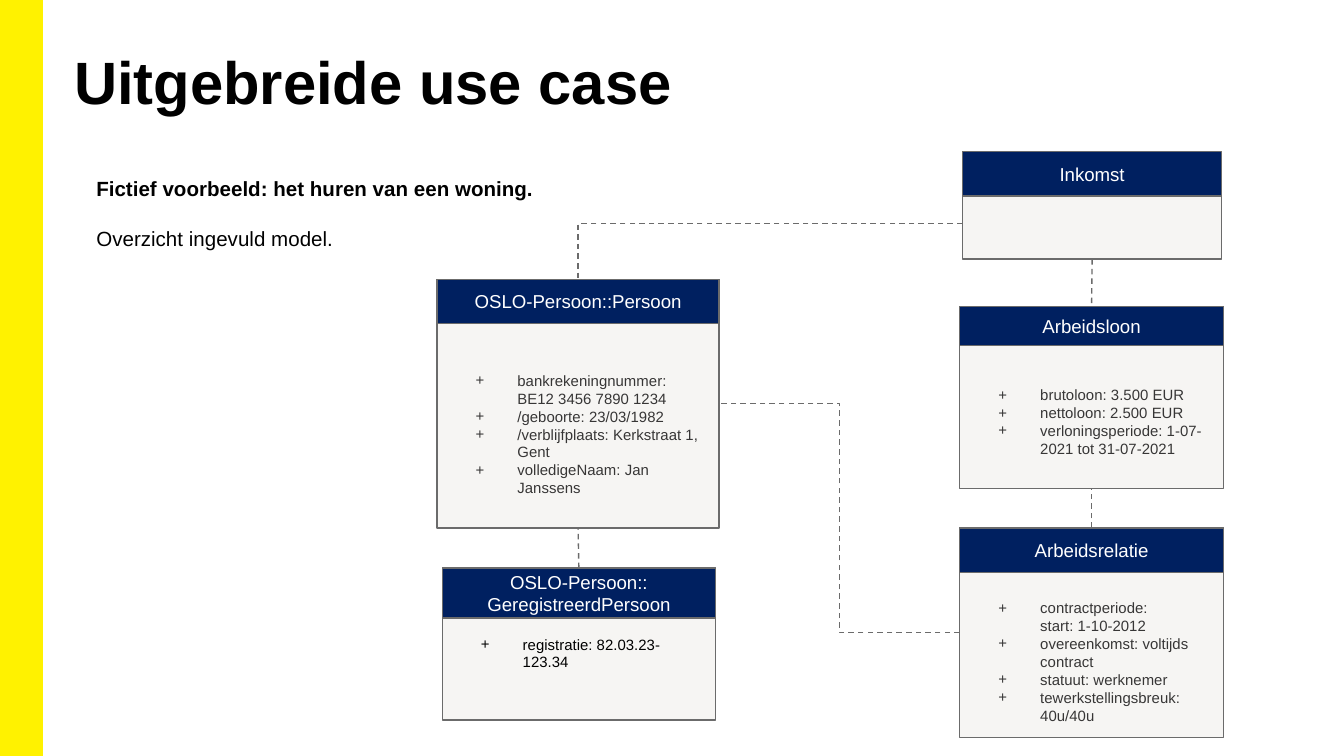
from dataclasses import dataclass

import pptx
import pptx.dml.color
import pptx.enum.dml
import pptx.enum.shapes
import pptx.enum.text
import pptx.oxml
import pptx.oxml.ns
import pptx.util
from pptx.util import Cm, Pt

FONT = "Arial"
YELLOW, NAVY, PALE, GREY = "FFF200", "002060", "F6F5F3", "6B6B6B"
BLACK, WHITE, DARK = "000000", "FFFFFF", "373636"
INSET = 0.25
LINE = 0.34  # height in cm of one 8 pt line

ALIGN = pptx.enum.text.PP_ALIGN
ANCHOR = pptx.enum.text.MSO_ANCHOR
TOP, LEFT, BOTTOM, RIGHT = range(4)  # connection sites of a rectangle


@dataclass
class ClassBox:
    """A UML class, measured in cm."""
    name: str
    left: float
    top: float
    width: float
    height: float
    header: float = 0.84
    body_offset: float = 0
    attributes: tuple[str, ...] = ()
    anchor: ANCHOR = ANCHOR.BOTTOM
    color: str = DARK
    inset_top: float = INSET
    inset_bottom: float = INSET


@dataclass
class Link:
    start: str
    start_site: int
    end: str
    end_site: int
    preset: str = "line"


BOXES = [
    ClassBox("OSLO-Persoon::Persoon", 8.26, 5.28, 5.33, 4.7,
             attributes=("bankrekeningnummer: BE12 3456 7890 1234",
                         "/geboorte: 23/03/1982",
                         "/verblijfplaats: Kerkstraat 1, Gent",
                         "volledigeNaam: Jan Janssens"),
             inset_bottom=INSET + LINE),
    ClassBox("OSLO-Persoon::\nGeregistreerdPersoon", 8.36, 10.74, 5.16, 2.87, 0.94,
             attributes=("registratie: 82.03.23-123.34",),
             anchor=ANCHOR.MIDDLE, color=BLACK, inset_top=INSET + LINE),
    ClassBox("Inkomst", 18.19, 2.87, 4.9, 2.03, body_offset=0.69),
    ClassBox("Arbeidsloon", 18.14, 5.79, 4.98, 3.45, 0.74,
             attributes=("brutoloon: 3.500 EUR",
                         "nettoloon: 2.500 EUR",
                         "verloningsperiode: 1-07-2021 tot 31-07-2021"),
             inset_bottom=INSET + LINE),
    ClassBox("Arbeidsrelatie", 18.14, 9.98, 4.98, 3.96,
             attributes=("contractperiode:\nstart: 1-10-2012",
                         "overeenkomst: voltijds contract",
                         "statuut: werknemer",
                         "tewerkstellingsbreuk: 40u/40u")),
]

LINKS = [
    Link("OSLO-Persoon::\nGeregistreerdPersoon", TOP, "OSLO-Persoon::Persoon", BOTTOM),
    Link("Inkomst", BOTTOM, "Arbeidsloon", TOP),
    Link("Arbeidsrelatie", TOP, "Arbeidsloon", BOTTOM),
    Link("Arbeidsrelatie", LEFT, "OSLO-Persoon::Persoon", RIGHT, "bentConnector3"),
    Link("Inkomst", LEFT, "OSLO-Persoon::Persoon", TOP, "bentConnector2"),
]


def rgb(color: str) -> pptx.dml.color.RGBColor:
    return pptx.dml.color.RGBColor.from_string(color)


def place(sp, left: float, top: float, width: float, height: float) -> None:
    sp.left, sp.top, sp.width, sp.height = map(Cm, (left, top, width, height))


def set_frame(tf, anchor, left=INSET, top=INSET, right=INSET, bottom=INSET) -> None:
    tf.word_wrap = True
    tf.auto_size = pptx.enum.text.MSO_AUTO_SIZE.NONE
    tf.vertical_anchor = anchor
    tf.margin_left, tf.margin_top = Cm(left), Cm(top)
    tf.margin_right, tf.margin_bottom = Cm(right), Cm(bottom)


def set_bullet(p, char: str | None, color: str) -> None:
    """Give the paragraph a hanging bullet, or none at all."""
    pPr = p._p.get_or_add_pPr()
    pPr.set("marL", str(Cm(1.27) if char else 0))
    pPr.set("indent", str(Cm(-0.79) if char else 0))
    ns = pptx.oxml.ns.nsdecls("a")
    if char:
        parts = [f'<a:buClr {ns}><a:srgbClr val="{color}"/></a:buClr>',
                 f'<a:buFont {ns} typeface="{FONT}"/>',
                 f'<a:buChar {ns} char="{char}"/>']
    else:
        parts = [f"<a:buNone {ns}/>"]
    for part in parts:
        pPr.append(pptx.oxml.parse_xml(part))


def add_text(tf, text: str, *, size: float, color: str, bold: bool = False,
             align=ALIGN.LEFT, bullet: str | None = None, before: float = 0) -> None:
    """Add one paragraph; a newline in the text becomes a line break."""
    p = tf.paragraphs[0] if not tf.text else tf.add_paragraph()
    p.alignment = align
    p.space_before = Pt(before)
    set_bullet(p, bullet, color)
    for i, line in enumerate(text.split("\n")):
        if i:
            p.add_line_break()
        r = p.add_run()
        r.text = line
        r.font.name, r.font.size, r.font.bold = FONT, Pt(size), bold
        r.font.color.rgb = rgb(color)


def add_rect(s, left: float, top: float, width: float, height: float,
             fill: str, line: str = GREY, weight: float = 0.75):
    sp = s.shapes.add_shape(pptx.enum.shapes.MSO_SHAPE.RECTANGLE,
                            Cm(left), Cm(top), Cm(width), Cm(height))
    sp.shadow.inherit = False
    sp.fill.solid()
    sp.fill.fore_color.rgb = rgb(fill)
    sp.line.color.rgb = rgb(line)
    sp.line.width = Pt(weight)
    return sp


def add_class(s, box: ClassBox):
    """Draw the class and return its body, which takes the connectors."""
    body = add_rect(s, box.left, box.top + box.body_offset, box.width,
                    box.height - box.body_offset, PALE)
    set_frame(body.text_frame, box.anchor, top=box.inset_top, bottom=box.inset_bottom)
    for attribute in box.attributes:
        add_text(body.text_frame, attribute, size=8, color=box.color, bullet="+")
    header = add_rect(s, box.left, box.top, box.width, box.header, NAVY)
    set_frame(header.text_frame, ANCHOR.MIDDLE, top=0, bottom=0)
    add_text(header.text_frame, box.name, size=10, color=WHITE, align=ALIGN.CENTER)
    return body


def add_link(s, link: Link, bodies: dict) -> None:
    kind = pptx.enum.shapes.MSO_CONNECTOR
    cx = s.shapes.add_connector(kind.STRAIGHT if link.preset == "line" else kind.ELBOW,
                                0, 0, 0, 0)
    cx.begin_connect(bodies[link.start], link.start_site)
    cx.end_connect(bodies[link.end], link.end_site)
    cx.line.color.rgb = rgb(GREY)
    cx.line.width = Pt(0.75)
    cx.line.dash_style = pptx.enum.dml.MSO_LINE.DASH
    spPr = cx._element.spPr
    spPr.find(pptx.oxml.ns.qn("a:prstGeom")).set("prst", link.preset)
    spPr.append(pptx.oxml.parse_xml(f'<a:effectLst {pptx.oxml.ns.nsdecls("a")}/>'))


def main() -> None:
    prs = pptx.Presentation()
    prs.slide_width, prs.slide_height = Cm(25.4), Cm(14.29)
    s = prs.slides.add_slide(prs.slide_layouts[1])
    add_rect(s, 0, 0, 0.79, 14.29, YELLOW, YELLOW, 1)

    title, intro = s.placeholders
    place(title, 1.22, 0.71, 23.5, 1.6)
    set_frame(title.text_frame, ANCHOR.BOTTOM, 0.18, 0.1, 0.18, 0.1)
    add_text(title.text_frame, "Uitgebreide use case", size=32, color=BLACK, bold=True)
    place(intro, 1.57, 3.07, 11.91, 1.93)
    set_frame(intro.text_frame, ANCHOR.TOP)
    add_text(intro.text_frame, "Fictief voorbeeld: het huren van een woning.",
             size=11, color=BLACK, bold=True, align=ALIGN.JUSTIFY)
    add_text(intro.text_frame, "Overzicht ingevuld model.",
             size=11, color=BLACK, align=ALIGN.JUSTIFY, before=14)

    bodies = {box.name: add_class(s, box) for box in BOXES}
    for link in LINKS:
        add_link(s, link, bodies)
    prs.save("out.pptx")


if __name__ == "__main__":
    main()
